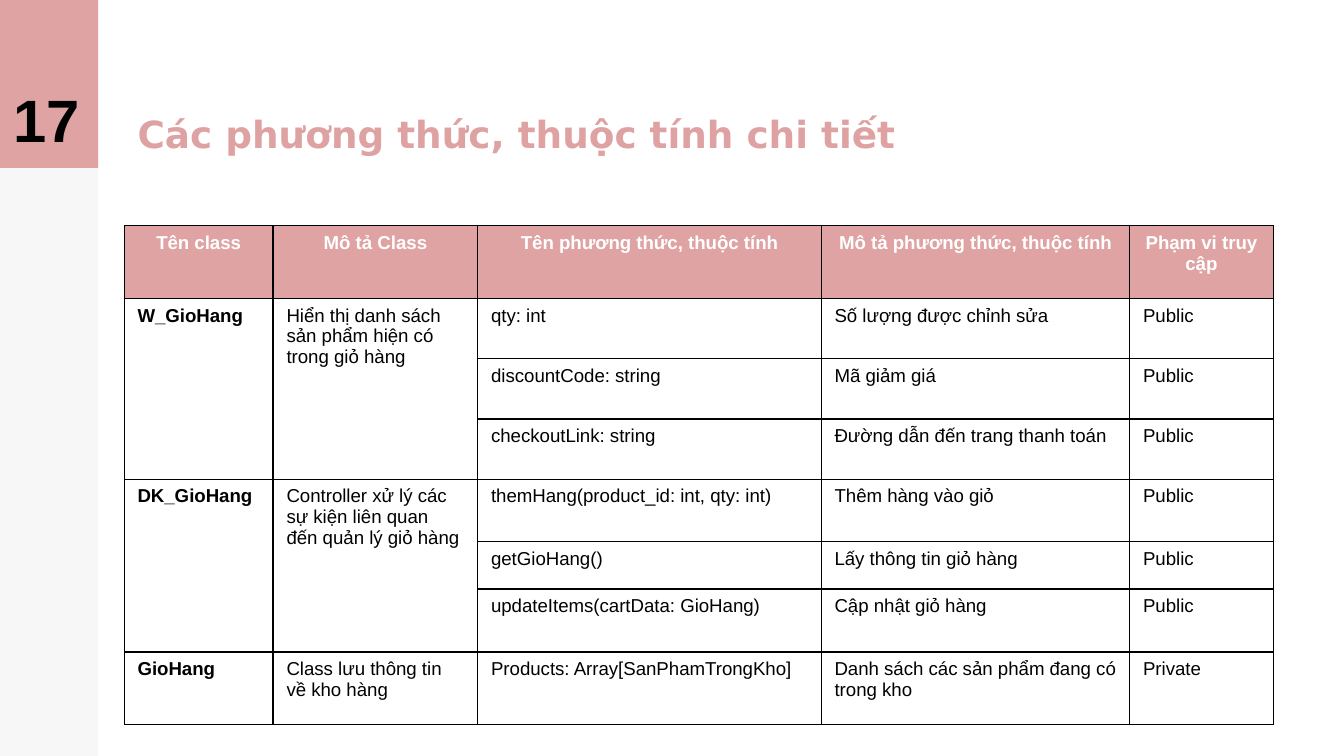
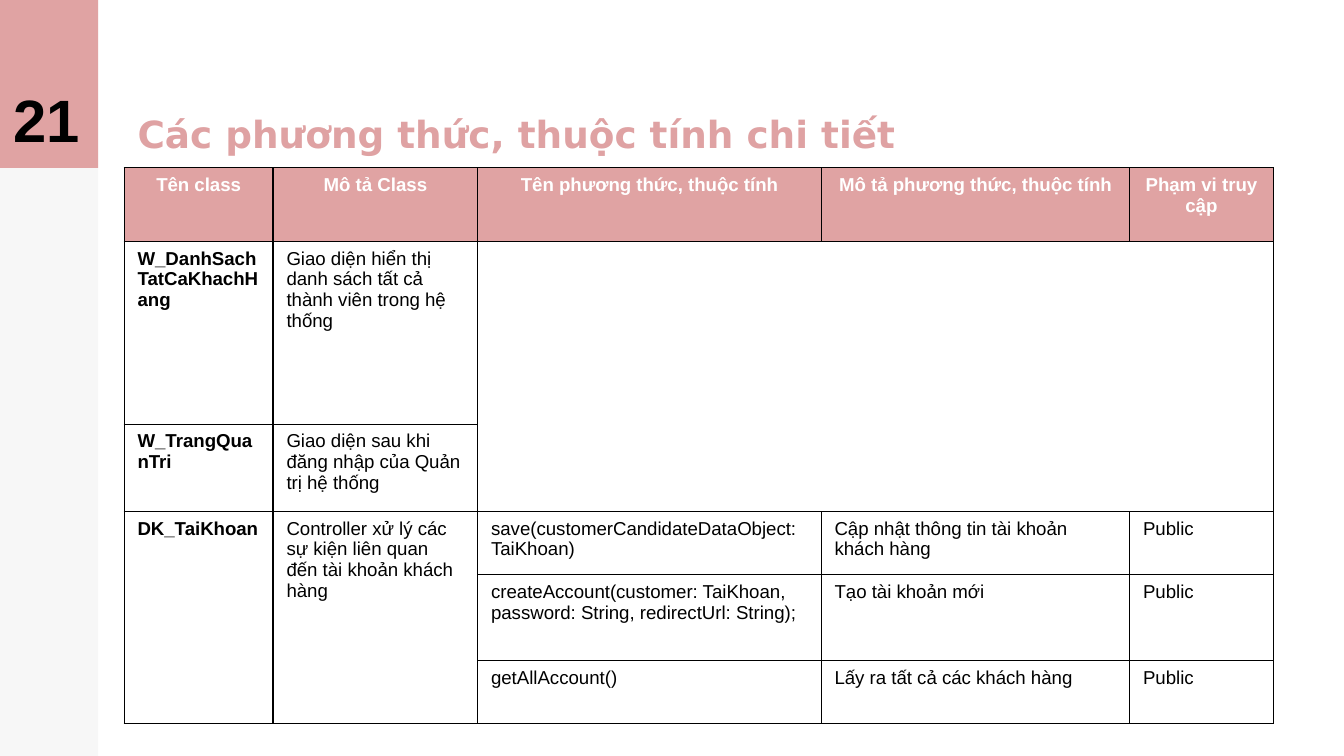
from lxml import etree
from pptx import Presentation
from pptx.dml.color import RGBColor
from pptx.enum.shapes import MSO_SHAPE
from pptx.enum.text import MSO_ANCHOR, MSO_AUTO_SIZE, PP_ALIGN
from pptx.oxml.ns import qn
from pptx.util import Pt

RECTANGLE = MSO_SHAPE.RECTANGLE
BOTTOM = MSO_ANCHOR.BOTTOM
NO_AUTOFIT = MSO_AUTO_SIZE.NONE
LEFT, CENTER = PP_ALIGN.LEFT, PP_ALIGN.CENTER

PINK = RGBColor(0xE0, 0xA3, 0xA3)
TITLE_PINK = RGBColor(0xDF, 0xA2, 0xA3)
BLACK = RGBColor(0, 0, 0)
WHITE = RGBColor(0xFF, 0xFF, 0xFF)

BODY_FONT, TITLE_FONT = "Arial", "DejaVu Sans"
SLIDE_WIDTH, SLIDE_HEIGHT = 720, 405
BAND_WIDTH, HEAD_HEIGHT = 52.6, 90
CONTENT_LEFT = 66.5
INSET = 7.2
BORDER_WIDTH = 0.75
BAND_OPACITY = 3  # percent

TITLE = "Các phương thức, thuộc tính chi tiết"
HEADERS = ["Tên class", "Mô tả Class", "Tên phương thức, thuộc tính",
           "Mô tả phương thức, thuộc tính", "Phạm vi truy cập"]
COLUMN_WIDTHS = [79.8, 109.6, 184, 165.3, 76.9]

# Each class: name, description, members (name, description, access)
SLIDES = [
    {
        "number": "17",
        "title_width": 468.7,
        "table_top": 121,
        "row_heights": [38.9, 32.3, 32.3, 32.3, 33.5, 25.3, 33.8, 38.7],
        "classes": [
            ("W_GioHang", "Hiển thị danh sách sản phẩm hiện có trong giỏ hàng", [
                ("qty: int", "Số lượng được chỉnh sửa", "Public"),
                ("discountCode: string", "Mã giảm giá", "Public"),
                ("checkoutLink: string", "Đường dẫn đến trang thanh toán", "Public"),
            ]),
            ("DK_GioHang", "Controller xử lý các sự kiện liên quan đến quản lý giỏ hàng", [
                ("themHang(product_id: int, qty: int)", "Thêm hàng vào giỏ", "Public"),
                ("getGioHang()", "Lấy thông tin giỏ hàng", "Public"),
                ("updateItems(cartData: GioHang)", "Cập nhật giỏ hàng", "Public"),
            ]),
            ("GioHang", "Class lưu thông tin về kho hàng", [
                ("Products: Array[SanPhamTrongKho]",
                 "Danh sách các sản phẩm đang có trong kho", "Private"),
            ]),
        ],
    },
    {
        "number": "21",
        "title_width": 512,
        "table_top": 89.8,
        "row_heights": [39.6, 97.9, 46.8, 33.8, 46.1, 33.8],
        "classes": [
            ("W_DanhSachTatCaKhachHang",
             "Giao diện hiển thị danh sách tất cả thành viên trong hệ thống", []),
            ("W_TrangQuanTri", "Giao diện sau khi đăng nhập của Quản trị hệ thống", []),
            ("DK_TaiKhoan", "Controller xử lý các sự kiện liên quan đến tài khoản khách hàng", [
                ("save(customerCandidateDataObject: TaiKhoan)",
                 "Cập nhật thông tin tài khoản khách hàng", "Public"),
                ("createAccount(customer: TaiKhoan, password: String, redirectUrl: String);",
                 "Tạo tài khoản mới", "Public"),
                ("getAllAccount()", "Lấy ra tất cả các khách hàng", "Public"),
            ]),
        ],
    },
]


def style_paragraph(paragraph, size, color, bold=False, font=BODY_FONT, align=LEFT):
    paragraph.alignment = align
    paragraph.font.name = font
    paragraph.font.size = Pt(size)
    paragraph.font.bold = bold
    paragraph.font.color.rgb = color


def write_heading(box, text, size, color, font):
    """Fill a box with one bold line that sits on its bottom edge."""
    frame = box.text_frame
    frame.text = text
    frame.word_wrap = True
    frame.auto_size = NO_AUTOFIT
    frame.vertical_anchor = BOTTOM
    frame.margin_left = frame.margin_right = Pt(INSET)
    frame.margin_top = frame.margin_bottom = Pt(INSET)
    style_paragraph(frame.paragraphs[0], size, color, True, font)


def add_band(slide, height, color):
    band = slide.shapes.add_shape(RECTANGLE, 0, 0, Pt(BAND_WIDTH), Pt(height))
    band.shadow.inherit = False
    band.fill.solid()
    band.fill.fore_color.rgb = color
    band.line.fill.background()
    return band


def add_side_bands(slide):
    side = add_band(slide, SLIDE_HEIGHT, BLACK)
    color = side.fill._xPr.find(qn("a:solidFill"))[0]
    etree.SubElement(color, qn("a:alpha"), val=str(BAND_OPACITY * 1000))
    add_band(slide, HEAD_HEIGHT, PINK)


def add_title(slide, width):
    title = slide.shapes.title
    title.left, title.top = Pt(CONTENT_LEFT), Pt(0.7)
    title.width, title.height = Pt(width), Pt(HEAD_HEIGHT)
    write_heading(title, TITLE, 20, TITLE_PINK, TITLE_FONT)


def add_page_number(slide, number):
    box = slide.shapes.add_textbox(0, 0, Pt(BAND_WIDTH), Pt(HEAD_HEIGHT))
    write_heading(box, number, 32, BLACK, BODY_FONT)


def add_borders(cell):
    properties = cell._tc.get_or_add_tcPr()
    for side in ("a:lnL", "a:lnR", "a:lnT", "a:lnB"):
        line = etree.SubElement(properties, qn(side), w=str(Pt(BORDER_WIDTH)))
        fill = etree.SubElement(line, qn("a:solidFill"))
        etree.SubElement(fill, qn("a:srgbClr"), val=str(BLACK))


def write_cell(cell, text, color=BLACK, bold=False, align=LEFT):
    cell.text = text
    style_paragraph(cell.text_frame.paragraphs[0], 10, color, bold, align=align)


def fill_classes(table, classes):
    """Write the classes; those without members share one empty merged block."""
    row = 1
    blank_rows = []
    for name, description, members in classes:
        last_row = row + max(len(members), 1) - 1
        write_cell(table.cell(row, 0), name, bold=True)
        write_cell(table.cell(row, 1), description)
        if last_row > row:
            for column in (0, 1):
                table.cell(row, column).merge(table.cell(last_row, column))
        if not members:
            blank_rows.append(row)
        for member_row, member in enumerate(members, row):
            for column, text in enumerate(member, 2):
                write_cell(table.cell(member_row, column), text)
        row = last_row + 1
    if blank_rows:
        last_column = len(HEADERS) - 1
        table.cell(blank_rows[0], 2).merge(table.cell(blank_rows[-1], last_column))


def add_class_table(slide, top, row_heights, classes):
    table = slide.shapes.add_table(
        len(row_heights), len(HEADERS), Pt(CONTENT_LEFT), Pt(top),
        Pt(sum(COLUMN_WIDTHS)), Pt(sum(row_heights))).table
    table.horz_banding = False
    for column, width in zip(table.columns, COLUMN_WIDTHS):
        column.width = Pt(width)
    for row, height in zip(table.rows, row_heights):
        row.height = Pt(height)
    for cell in table.iter_cells():
        add_borders(cell)
        cell.fill.background()
    for column, header in enumerate(HEADERS):
        cell = table.cell(0, column)
        cell.fill.solid()
        cell.fill.fore_color.rgb = PINK
        write_cell(cell, header, WHITE, True, CENTER)
    fill_classes(table, classes)


def main():
    presentation = Presentation()
    presentation.slide_width = Pt(SLIDE_WIDTH)
    presentation.slide_height = Pt(SLIDE_HEIGHT)
    title_only = presentation.slide_layouts[5]
    for content in SLIDES:
        slide = presentation.slides.add_slide(title_only)
        add_side_bands(slide)
        add_title(slide, content["title_width"])
        add_page_number(slide, content["number"])
        add_class_table(slide, content["table_top"], content["row_heights"],
                        content["classes"])
    presentation.save("out.pptx")


if __name__ == "__main__":
    main()
